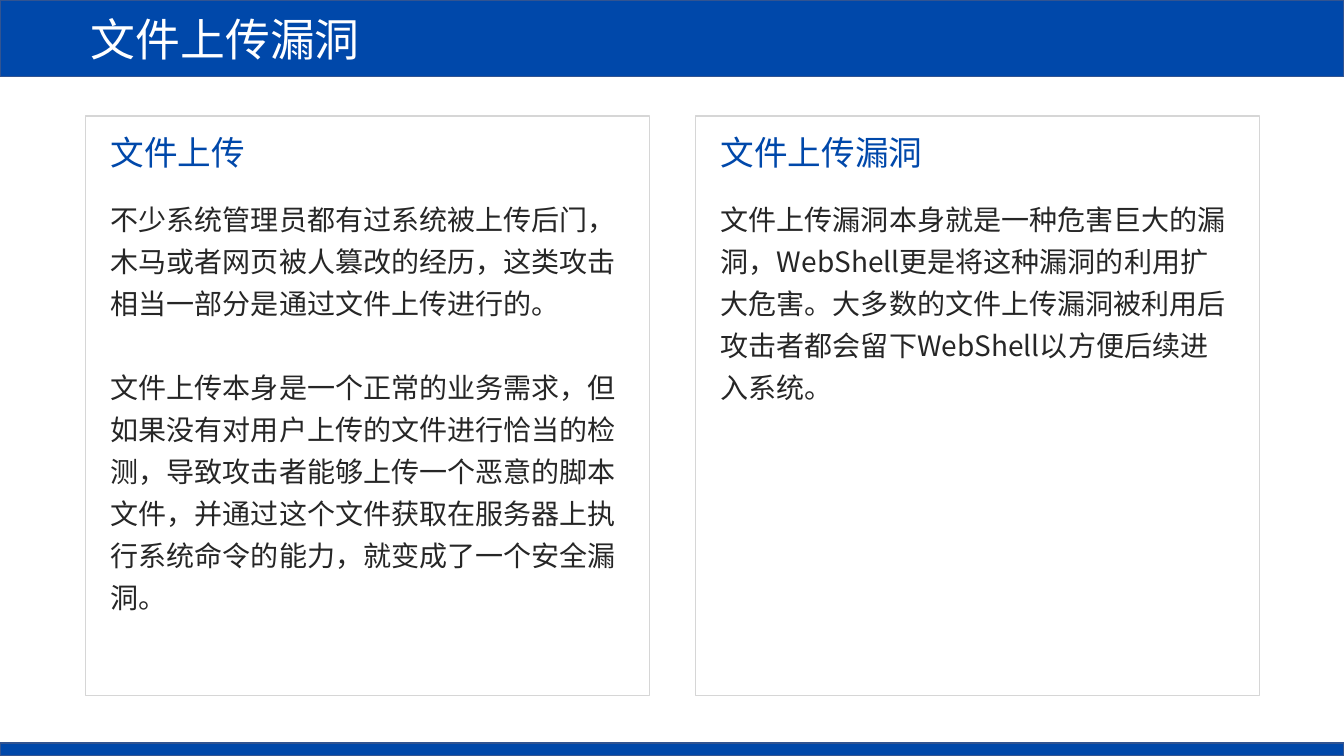
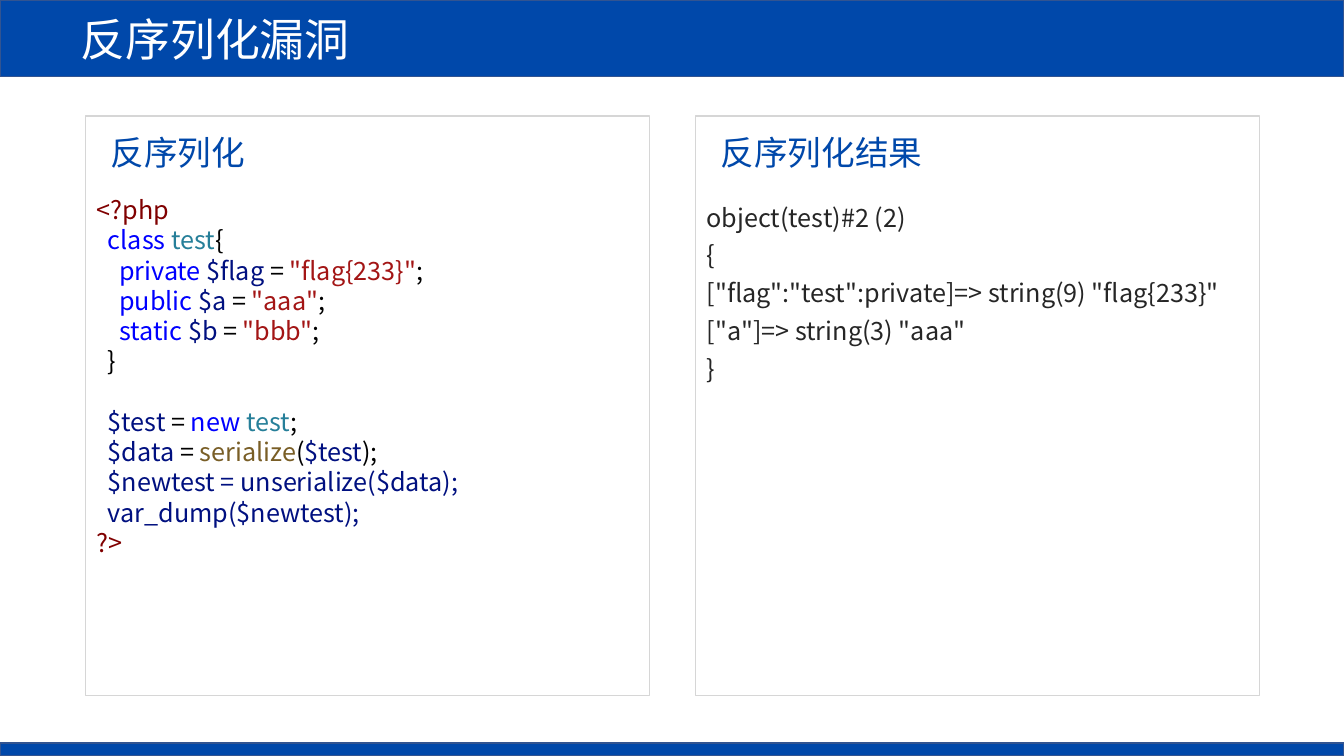
from pptx import Presentation
from pptx import util as u
from pptx.dml.color import RGBColor
from pptx.enum import shapes, text
from pptx.oxml.ns import qn
from lxml import etree

WIDTH, HEIGHT = 13.33, 7.5
FONT = "Noto Sans CJK SC"
BLUE, BAND_LINE, CARD_LINE = "0048AA", "325491", "D6D6D6"
WHITE, INK = "FFFFFF", "262626"
TAG, KEYWORD, CLASS, VAR, STRING, FUNC, PLAIN = (
    "800000", "0000FF", "267F99", "001080", "A31515", "795E26", "000000")

BAND_H, FOOT_H = 0.76, 0.13
CARD_X, CARD_Y, CARD_W, CARD_H, GUTTER = 0.85, 1.15, 5.59, 5.75, 0.46
PAD, HEAD_Y, BODY_Y = 0.15, 1.26, 1.88
BODY = {"size": 20, "line_spacing": 1.25}
OUTPUT = {"size": 18, "line_spacing": 1.25}
CODE = {"size": 18, "line_spacing": 1.0}


def color(value):
    return RGBColor.from_string(value)


def column_x(col):
    return CARD_X + col * (CARD_W + GUTTER)


def box(s, x, y, w, h, line, fill=None):
    sp = s.shapes.add_shape(shapes.MSO_SHAPE.RECTANGLE, *map(u.Inches, (x, y, w, h)))
    sp.shadow.inherit = False
    if fill:
        sp.fill.solid()
        sp.fill.fore_color.rgb = color(fill)
    else:
        sp.fill.background()
    sp.line.color.rgb = color(line)
    sp.line.width = u.Pt(1)
    return sp


def add_run(p, words, size, ink):
    r = p.add_run()
    r.text = words
    r.font.size = u.Pt(size)
    r.font.color.rgb = color(ink)
    r.font.name = FONT
    etree.SubElement(r.font._element, qn("a:ea"), typeface=FONT)


def fill_text(tf, paras, size, gaps=None, **formats):
    """Write paragraphs of (words, colour) runs; gaps maps an index to points before it."""
    for i, runs in enumerate(paras):
        p = tf.paragraphs[0] if i == 0 else tf.add_paragraph()
        p.alignment = text.PP_ALIGN.LEFT
        for name, value in formats.items():
            setattr(p, name, value)
        if gaps and i in gaps:
            p.space_before = u.Pt(gaps[i])
        for words, ink in runs:
            add_run(p, words, size, ink)


def text_box(s, x, y, w, h, paras, **formats):
    tf = s.shapes.add_textbox(*map(u.Inches, (x, y, w, h))).text_frame
    tf.word_wrap = True
    tf.auto_size = text.MSO_AUTO_SIZE.SHAPE_TO_FIT_TEXT
    fill_text(tf, paras, **formats)


def plain(*lines):
    return [[(line, INK)] for line in lines]


def add_slide(prs, title, indent):
    s = prs.slides.add_slide(prs.slide_layouts[6])
    tf = box(s, 0, 0, WIDTH, BAND_H, BAND_LINE, BLUE).text_frame
    tf.margin_left = u.Inches(indent)
    tf.vertical_anchor = text.MSO_ANCHOR.MIDDLE
    fill_text(tf, [[(title, WHITE)]], size=32)
    box(s, 0, HEIGHT - FOOT_H, WIDTH, FOOT_H, BAND_LINE, BLUE)
    return s


def add_card(s, col, heading, paras, height, pad=PAD, **formats):
    x = column_x(col)
    box(s, x, CARD_Y, CARD_W, CARD_H, CARD_LINE)
    text_box(s, x + PAD, HEAD_Y, CARD_W - 2 * PAD, 0.5, [[(heading, BLUE)]], size=24)
    text_box(s, x + pad, BODY_Y, CARD_W - 2 * pad, height, paras, **formats)


def member(scope, name, value):
    return [(f"    {scope} ", KEYWORD), (name, VAR), (" = ", PLAIN),
            (f'"{value}"', STRING), (";", PLAIN)]


def php_code():
    return [
        [("<?php", TAG)],
        [("  class ", KEYWORD), ("test", CLASS), ("{", PLAIN)],
        member("private", "$flag", "flag{233}"),
        member("public", "$a", "aaa"),
        member("static", "$b", "bbb"),
        [("  }", PLAIN)],
        [("  $test", VAR), (" = ", PLAIN), ("new ", KEYWORD), ("test", CLASS), (";", PLAIN)],
        [("  $data", VAR), (" = ", PLAIN), ("serialize", FUNC), ("(", PLAIN),
         ("$test", VAR), (");", PLAIN)],
        [("  $newtest = unserialize($data);", VAR)],
        [("  var_dump($newtest);", VAR)],
        [("?>", TAG)],
    ]


def upload_slide(prs):
    s = add_slide(prs, "文件上传漏洞", 0.9)
    add_card(s, 0, "文件上传", plain(
        "不少系统管理员都有过系统被上传后门，木马或者网页被人篡改的经历，"
        "这类攻击相当一部分是通过文件上传进行的。",
        "文件上传本身是一个正常的业务需求，但如果没有对用户上传的文件进行恰当的检测，"
        "导致攻击者能够上传一个恶意的脚本文件，并通过这个文件获取在服务器上执行系统命令的能力，"
        "就变成了一个安全漏洞。"), 4.27, gaps={1: 30}, **BODY)
    add_card(s, 1, "文件上传漏洞", plain(
        "文件上传漏洞本身就是一种危害巨大的漏洞，WebShell更是将这种漏洞的利用扩大危害。"
        "大多数的文件上传漏洞被利用后攻击者都会留下WebShell以方便后续进入系统。"), 2.17, **BODY)


def deserialize_slide(prs):
    s = add_slide(prs, "反序列化漏洞", 0.8)
    add_card(s, 0, "反序列化", php_code(), 3.74, pad=0.01, gaps={6: 21.6}, **CODE)
    add_card(s, 1, "反序列化结果", plain(
        "object(test)#2 (2)",
        "{",
        '["flag":"test":private]=> string(9) "flag{233}"',
        '["a"]=> string(3) "aaa"',
        "}"), 1.96, pad=0.01, **OUTPUT)


def main():
    prs = Presentation()
    prs.slide_width, prs.slide_height = u.Inches(WIDTH), u.Inches(HEIGHT)
    upload_slide(prs)
    deserialize_slide(prs)
    prs.save("out.pptx")


if __name__ == "__main__":
    main()
